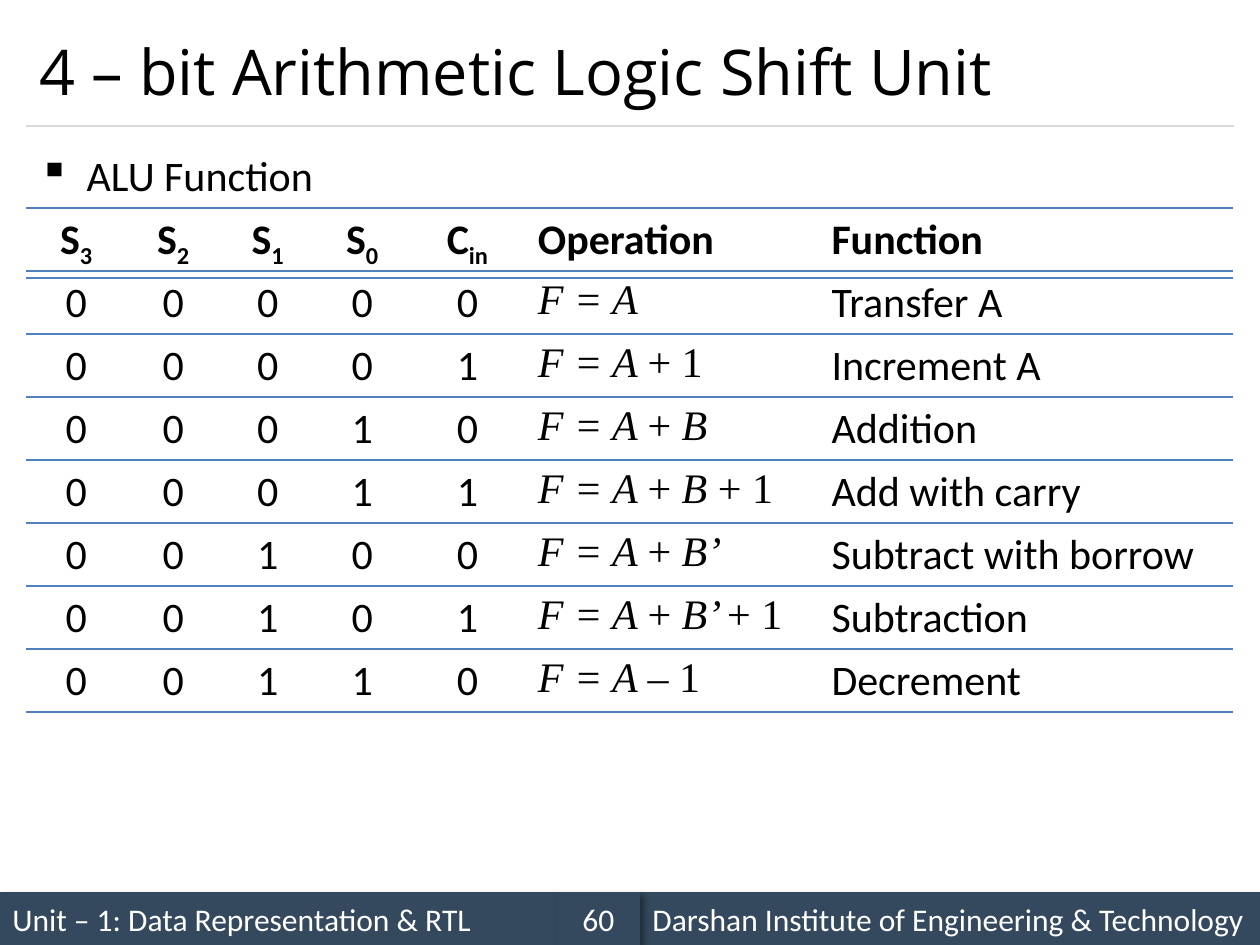
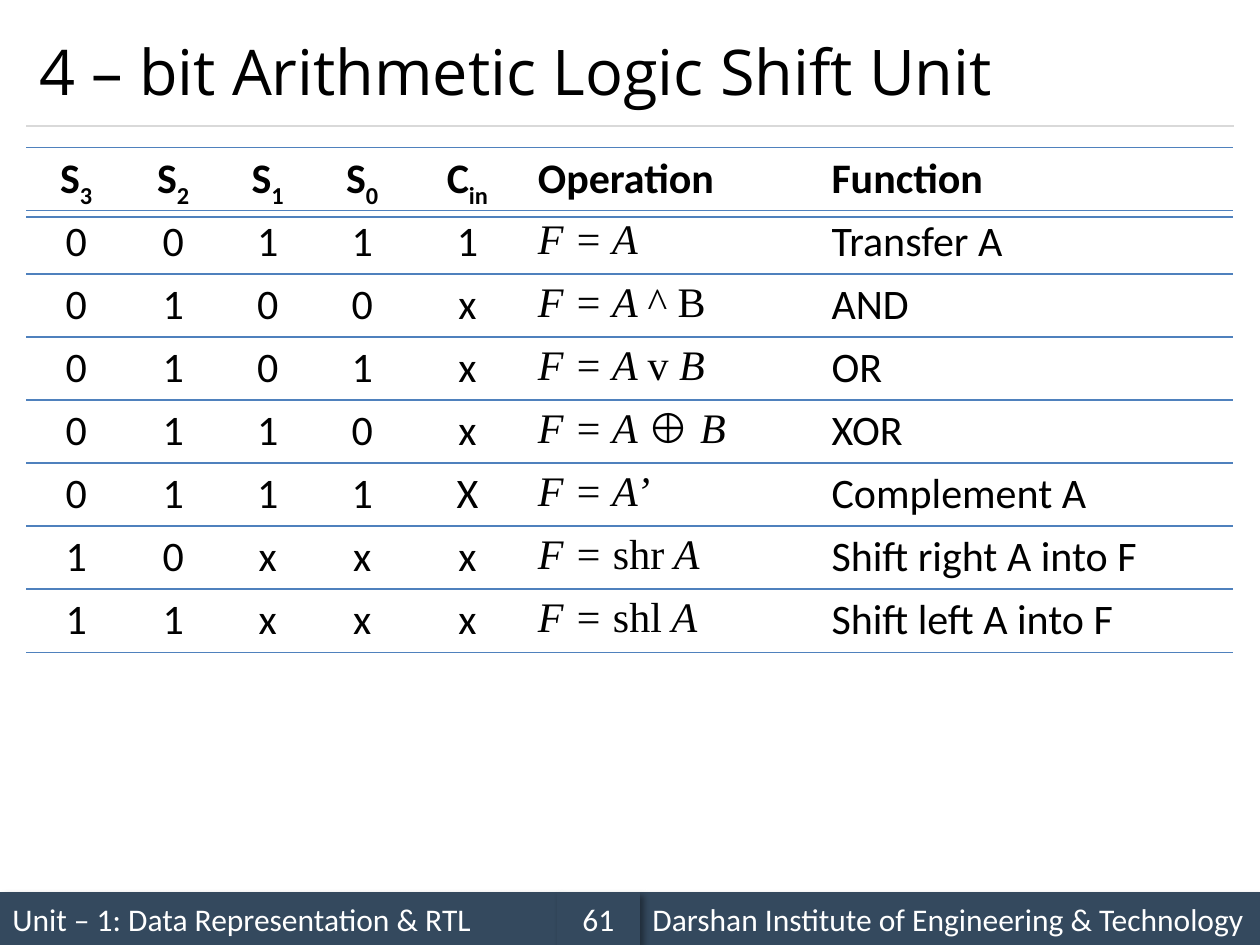
"""Builds two slides with the function table of a 4-bit arithmetic logic shift unit."""
from lxml.etree import SubElement
from pptx import Presentation
from pptx.dml.color import RGBColor
from pptx.enum.shapes import MSO_CONNECTOR as Connector, MSO_SHAPE as Shape
from pptx.enum.text import MSO_ANCHOR as Anchor, PP_ALIGN as Align
from pptx.oxml.ns import qn
from pptx.util import Inches, Pt

TITLE = "4 – bit Arithmetic Logic Shift Unit"
UNIT = "Unit – 1: Data Representation & RTL"
SCHOOL = "Darshan Institute of Engineering & Technology"

SELECTORS = [("S", "3"), ("S", "2"), ("S", "1"), ("S", "0"), ("C", "in")]
HEADINGS = ["Operation", "Function"]

# Each operation alternates italic and upright parts, split by a bar.
SLIDES = [
    {"number": 60, "bullet": "ALU Function", "table_top": 1.65, "rows": [
        ("00000", "F = A", "Transfer A"),
        ("00001", "F = A |+ 1", "Increment A"),
        ("00010", "F = A |+| B", "Addition"),
        ("00011", "F = A |+| B |+ 1", "Add with carry"),
        ("00100", "F = A |+| B’", "Subtract with borrow"),
        ("00101", "F = A |+| B’ |+ 1", "Subtraction"),
        ("00110", "F = A |– 1", "Decrement"),
    ]},
    {"number": 61, "bullet": None, "table_top": 1.17, "rows": [
        ("00111", "F = A", "Transfer A"),
        ("0100x", "F = A |^ B", "AND"),
        ("0101x", "F = A |v| B", "OR"),
        ("0110x", "F = A |⊕| B", "XOR"),
        ("0111X", "F = A’", "Complement A"),
        ("10xxx", "F = |shr| A", "Shift right A into F"),
        ("11xxx", "F = |shl| A", "Shift left A into F"),
    ]},
]

COLORS = {"text": "000000", "band": "34495E", "band_text": "FFFFFF",
          "title_rule": "D9D9D9", "table_rule": "4F81BD"}
WIDTH, HEIGHT = 10, 7.5
MARGIN = 0.21
CONTENT_WIDTH = WIDTH - 2 * MARGIN
TITLE_TOP, TITLE_BOTTOM = 0.12, 1
BAND_HEIGHT = 0.42
BAND_EDGES = [0, 4.42, 5.08, WIDTH]
COLUMNS = [0.79, 0.75, 0.75, 0.75, 0.92, 2.33, 3.29]
ROW_STEP, ROW_HEIGHT = 0.5, 0.41
HANGING = 0.38
PLAIN_TABLE = "{2D5ABB26-0587-4C30-8999-92F81FD0307C}"


def color(name):
    return RGBColor.from_string(COLORS[name])


def place(left, top, width, height):
    return [Inches(value) for value in (left, top, width, height)]


def style(para, size, name="Calibri", ink="text", bold=None, align=Align.LEFT):
    para.alignment = align
    font = para.font
    font.size, font.name, font.bold = Pt(size), name, bold
    font.color.rgb = color(ink)


def add_span(para, text):
    span = para.add_run()
    span.text = text
    return span


def add_effects(shape, shadow=False):
    effects = SubElement(shape._element.spPr, qn("a:effectLst"))
    if shadow:
        outer = SubElement(effects, qn("a:outerShdw"), blurRad=str(Pt(4)), dist=str(Pt(3)),
                           dir="2700000", algn="tl", rotWithShape="0")
        black = SubElement(outer, qn("a:srgbClr"), val=COLORS["text"])
        SubElement(black, qn("a:alpha"), val="40000")


def add_band(page, left, right, text, align):
    band = page.shapes.add_shape(
        Shape.RECTANGLE, *place(left, HEIGHT - BAND_HEIGHT, right - left, BAND_HEIGHT))
    band.fill.solid()
    band.fill.fore_color.rgb = color("band")
    band.line.fill.background()
    add_effects(band, shadow=True)
    frame = band.text_frame
    frame.word_wrap, frame.vertical_anchor = True, Anchor.MIDDLE
    para = frame.paragraphs[0]
    add_span(para, text)
    style(para, 18, ink="band_text", align=align)


def add_frame(page, number):
    left, middle, right, end = BAND_EDGES
    add_band(page, left, middle, UNIT, Align.LEFT)
    add_band(page, right, end, SCHOOL, Align.LEFT)
    add_band(page, middle, right, str(number), Align.CENTER)
    rule = page.shapes.add_connector(
        Connector.STRAIGHT, Inches(MARGIN), Inches(TITLE_BOTTOM),
        Inches(WIDTH - MARGIN), Inches(TITLE_BOTTOM))
    rule.line.color.rgb = color("title_rule")
    rule.line.width = Pt(0.75)
    add_effects(rule)
    title = page.shapes.title
    title.left, title.top, title.width, title.height = place(
        MARGIN, TITLE_TOP, CONTENT_WIDTH, TITLE_BOTTOM - TITLE_TOP)
    title.text_frame.text = TITLE
    title.text_frame.vertical_anchor = Anchor.MIDDLE
    style(title.text_frame.paragraphs[0], 36, "Open Sans")


def add_bullet(page, text):
    box = page.shapes.add_textbox(*place(MARGIN, 1.08, CONTENT_WIDTH, 0.67))
    box.text_frame.word_wrap = True
    para = box.text_frame.paragraphs[0]
    para.line_spacing = 1.14
    props = para._p.get_or_add_pPr()
    props.set("marL", str(Inches(HANGING)))
    props.set("indent", str(-Inches(HANGING)))
    SubElement(props, qn("a:buChar"), char="▪")
    add_span(para, text)
    style(para, 24)


def rule_cell(cell):
    props = cell._tc.get_or_add_tcPr()
    for side in ("lnT", "lnB"):
        line = SubElement(props, qn("a:" + side), w=str(Pt(1)))
        fill = SubElement(line, qn("a:solidFill"))
        SubElement(fill, qn("a:srgbClr"), val=COLORS["table_rule"])
    cell.fill.background()


def add_row(page, top):
    frame = page.shapes.add_table(
        1, len(COLUMNS), *place(MARGIN, top, CONTENT_WIDTH, ROW_HEIGHT))
    table = frame.table
    table.first_row = table.horz_banding = False
    table._tbl.tblPr.find(qn("a:tableStyleId")).text = PLAIN_TABLE
    for column, width in zip(table.columns, COLUMNS):
        column.width = Inches(width)
    cells = list(table.rows[0].cells)
    for cell in cells:
        rule_cell(cell)
    return [cell.text_frame.paragraphs[0] for cell in cells]


def add_heading_row(page, top):
    paras = add_row(page, top)
    split = len(SELECTORS)
    for para, (letter, index) in zip(paras, SELECTORS):
        add_span(para, letter)
        add_span(para, index)._r.get_or_add_rPr().set("baseline", "-25000")
        style(para, 24, bold=True, align=Align.CENTER)
    for para, heading in zip(paras[split:], HEADINGS):
        add_span(para, heading)
        style(para, 24, bold=True)


def add_function_row(page, top, bits, operation, function):
    *bit_paras, operation_para, function_para = add_row(page, top)
    for para, bit in zip(bit_paras, bits):
        add_span(para, bit)
        style(para, 24, align=Align.CENTER)
    for index, part in enumerate(operation.split("|")):
        add_span(operation_para, part).font.italic = index % 2 == 0
    style(operation_para, 24, "Times New Roman")
    add_span(function_para, function)
    style(function_para, 24)


def main():
    deck = Presentation()
    deck.slide_width, deck.slide_height = Inches(WIDTH), Inches(HEIGHT)
    for content in SLIDES:
        page = deck.slides.add_slide(deck.slide_layouts[5])
        add_frame(page, content["number"])
        if content["bullet"]:
            add_bullet(page, content["bullet"])
        top = content["table_top"]
        add_heading_row(page, top)
        for index, row in enumerate(content["rows"], start=1):
            add_function_row(page, top + index * ROW_STEP, *row)
    deck.save("out.pptx")


if __name__ == "__main__":
    main()
